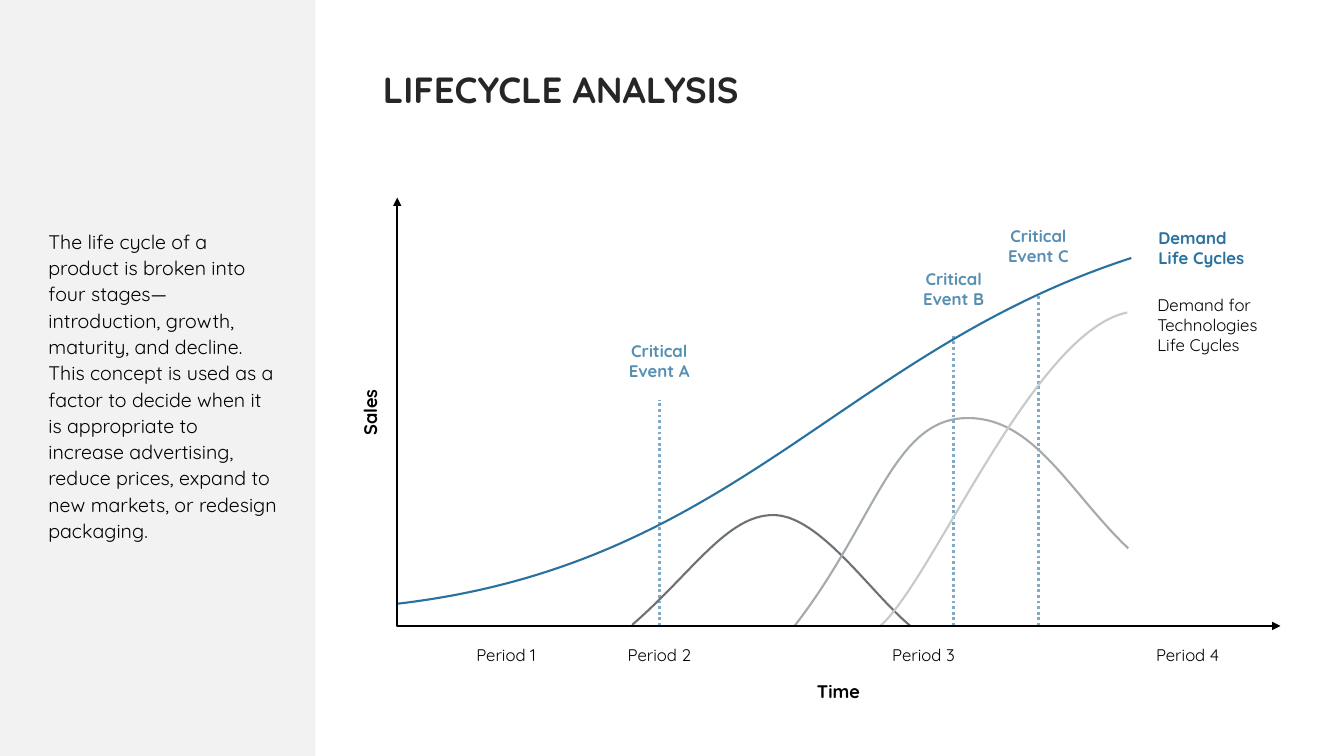
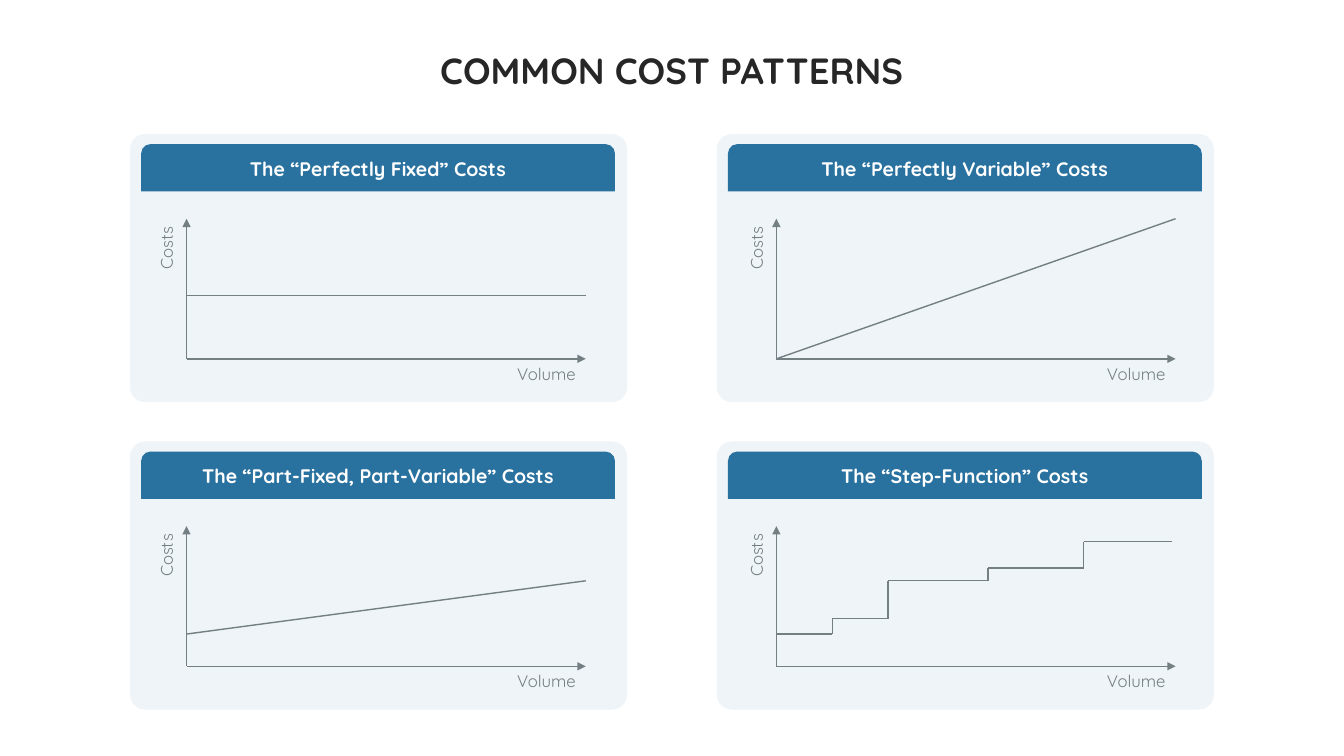
from lxml.etree import SubElement
from pptx import Presentation
from pptx.dml.color import RGBColor
from pptx.enum.dml import MSO_LINE
from pptx.enum.shapes import MSO_CONNECTOR, MSO_SHAPE
from pptx.enum.text import MSO_ANCHOR, MSO_AUTO_SIZE, PP_ALIGN
from pptx.oxml.ns import qn
from pptx.util import Inches, Pt

WIDTH, HEIGHT = 13.33, 7.5
FONT = "Quicksand"
BLACK, WHITE, INK = "000000", "FFFFFF", "262626"
BLUE, EVENT_BLUE, DOT_BLUE = "29719F", "578FB3", "81ABC6"
SIDEBAR, CARD, PLOT_GRAY = "F2F2F2", "C9DBE7", "747F83"
LEFT, CENTER, RIGHT = PP_ALIGN.LEFT, PP_ALIGN.CENTER, PP_ALIGN.RIGHT

SUMMARY = (
    "The life cycle of a product is broken into four stages—introduction, growth, "
    "maturity, and decline. This concept is used as a factor to decide when it is "
    "appropriate to increase advertising, reduce prices, expand to new markets, "
    "or redesign packaging."
)
AXIS_LEFT, AXIS_TOP, AXIS_RIGHT, AXIS_BASE = 3.94, 1.96, 12.7, 6.21
EVENTS = [
    ("Critical Event A", 6.54, 3.97, 3.33),
    ("Critical Event B", 9.46, 3.33, 2.62),
    ("Critical Event C", 10.3, 2.93, 2.19),
]
PERIODS = [("Period 1", 5.02), ("Period 2", 6.54), ("Period 3", 9.16), ("Period 4", 11.78)]
TECHNOLOGY_CURVES = [
    ("6C7275", [(6.27, 6.2), (6.86, 5.69), (7.21, 5.11), (7.67, 5.11),
                (8.13, 5.11), (8.64, 5.89), (9.03, 6.21)]),
    ("A4AAAD", [(7.88, 6.21), (8.66, 5.21), (8.85, 4.2), (9.54, 4.15),
                (10.24, 4.1), (10.6, 4.88), (11.19, 5.44)]),
    ("C6CACB", [(8.73, 6.21), (9.25, 5.76), (10.25, 3.29), (11.18, 3.1)]),
]
DEMAND_CURVE = [(3.94, 5.99), (7.29, 5.6), (8.35, 3.49), (11.22, 2.56)]

COST_PATTERNS = [
    ("The “Perfectly Fixed” Costs", [(0, 0.45), (1, 0.45)]),
    ("The “Perfectly Variable” Costs", [(0, 0), (1, 1)]),
    ("The “Part-Fixed, Part-Variable” Costs", [(0, 0.23), (1, 0.61)]),
    ("The “Step-Function” Costs", [
        (0, 0.23), (0.14, 0.23), (0.14, 0.34), (0.28, 0.34), (0.28, 0.61),
        (0.53, 0.61), (0.53, 0.7), (0.77, 0.7), (0.77, 0.89), (0.99, 0.89)]),
]
CARD_COLUMNS, PLOT_COLUMNS, CARD_ROWS = (1.29, 7.11), (1.85, 7.7), (1.33, 4.38)
CARD_WIDTH, CARD_HEIGHT, HEADER_HEIGHT = 4.93, 2.66, 0.47
PLOT_WIDTH, PLOT_HEIGHT = 3.96, 1.39


def color(value):
    return RGBColor.from_string(value)


def write(shape, text, size=12, ink=BLACK, bold=False, align=LEFT, anchor=MSO_ANCHOR.TOP,
          spacing=None, insets=(0.1, 0.05), wrap=True):
    frame = shape.text_frame
    frame.word_wrap = wrap
    frame.auto_size = MSO_AUTO_SIZE.NONE if wrap else MSO_AUTO_SIZE.SHAPE_TO_FIT_TEXT
    frame.vertical_anchor = anchor
    frame.margin_left = frame.margin_right = Inches(insets[0])
    frame.margin_top = frame.margin_bottom = Inches(insets[1])
    para = frame.paragraphs[0]
    para.alignment = align
    if spacing:
        para.line_spacing = spacing
    span = para.add_run()
    span.text = text
    span.font.name = FONT
    span.font.size = Pt(size)
    span.font.bold = bold
    span.font.color.rgb = color(ink)


def add_text(page, text, left, top, width, height, rotation=0, **style):
    box = page.shapes.add_textbox(Inches(left), Inches(top), Inches(width), Inches(height))
    box.rotation = rotation
    write(box, text, **style)


def add_title(page, text, left, top, width, align=LEFT):
    add_text(page, text, left, top, width, 0.58, size=26, ink=INK, bold=True,
             align=align, anchor=MSO_ANCHOR.MIDDLE, spacing=0.9)


def add_block(page, kind, left, top, width, height, fill, adjustments=(), opacity=None):
    shape = page.shapes.add_shape(kind, Inches(left), Inches(top), Inches(width), Inches(height))
    shape.shadow.inherit = False
    shape.fill.solid()
    shape.fill.fore_color.rgb = color(fill)
    shape.line.fill.background()
    for index, value in enumerate(adjustments):
        shape.adjustments[index] = value
    if opacity is not None:
        tint = shape.fill._xPr.find(".//" + qn("a:srgbClr"))
        SubElement(tint, qn("a:alpha"), val=str(opacity * 1000))
    return shape


def style_line(shape, ink, weight, dash=None, arrows=()):
    shape.line.color.rgb = color(ink)
    shape.line.width = Pt(weight)
    if dash:
        shape.line.dash_style = dash
    for end in arrows:
        SubElement(shape.line._get_or_add_ln(), qn("a:" + end), type="triangle")


def add_line(page, start, end, ink, weight, **style):
    line = page.shapes.add_connector(
        MSO_CONNECTOR.STRAIGHT, *[Inches(value) for value in (*start, *end)])
    SubElement(line._element.spPr, qn("a:effectLst"))
    effects = line._element.spPr[-1]
    style_line(line, ink, weight, **style)
    line._element.spPr.append(effects)


def add_outline(page, points, ink, curved=False, **style):
    (first, *others) = [(Inches(x), Inches(y)) for x, y in points]
    builder = page.shapes.build_freeform(*first, scale=1.0)
    builder.add_line_segments(others, close=False)
    shape = builder.convert_to_shape()
    shape.shadow.inherit = False
    shape.fill.background()
    style_line(shape, ink, 1.5, **style)
    if curved:
        outline = shape._element.find(".//" + qn("a:path"))
        segments = outline.findall(qn("a:lnTo"))
        for index in range(0, len(segments), 3):
            bezier = SubElement(outline, qn("a:cubicBezTo"))
            for segment in segments[index:index + 3]:
                bezier.append(segment[0])
                outline.remove(segment)


def build_lifecycle(page):
    add_block(page, MSO_SHAPE.RECTANGLE, 0, 0, 3.13, HEIGHT, SIDEBAR)
    add_text(page, SUMMARY, 0.32, 2.09, 2.59, 3.49, size=14, spacing=Pt(18.8),
             insets=(0.16, 0.16))
    add_title(page, "LIFECYCLE ANALYSIS", 3.7, 0.62, 4.43)
    for label, x, line_top, label_top in EVENTS:
        add_line(page, (x, AXIS_BASE), (x, line_top), DOT_BLUE, 2, dash=MSO_LINE.ROUND_DOT)
        add_text(page, label, x - 0.6, label_top, 1.2, 0.5, ink=EVENT_BLUE, bold=True,
                 align=CENTER)
    for ink, points in TECHNOLOGY_CURVES:
        add_outline(page, points, ink, curved=True)
    for label, x in PERIODS:
        add_text(page, label, x - 0.6, 6.35, 1.2, 0.3, align=CENTER)
    add_text(page, "Sales", 3.28, 3.94, 0.76, 0.3, rotation=270, size=13, bold=True,
             align=CENTER)
    add_text(page, "Time", 7.89, 6.7, 0.85, 0.3, size=13, bold=True, align=CENTER)
    add_text(page, "Demand for Technologies Life Cycles", 11.38, 2.87, 1.25, 0.7)
    add_text(page, "Demand Life Cycles", 11.39, 2.21, 1.16, 0.5, ink=BLUE, bold=True)
    add_outline(page, DEMAND_CURVE, BLUE, curved=True)
    axes = [(AXIS_LEFT, AXIS_TOP), (AXIS_LEFT, AXIS_BASE), (AXIS_RIGHT, AXIS_BASE)]
    add_outline(page, axes, BLACK, arrows=("headEnd", "tailEnd"))


def build_cost_card(page, heading, pattern, column, row):
    left, top = CARD_COLUMNS[column], CARD_ROWS[row]
    origin_x, base = PLOT_COLUMNS[column], top + 2.23
    add_block(page, MSO_SHAPE.ROUNDED_RECTANGLE, left, top, CARD_WIDTH, CARD_HEIGHT, CARD,
              adjustments=(0.056,), opacity=30)
    header = add_block(page, MSO_SHAPE.ROUND_2_SAME_RECTANGLE, left + 0.11, top + 0.1,
                       CARD_WIDTH - 0.23, HEADER_HEIGHT, BLUE, adjustments=(0.2, 0))
    write(header, heading, size=14, ink=WHITE, bold=True, align=CENTER,
          anchor=MSO_ANCHOR.MIDDLE, spacing=Pt(16), insets=(0.2, 0.05))
    origin = (origin_x, base)
    for tip in [(origin_x, base - PLOT_HEIGHT), (origin_x + PLOT_WIDTH, base)]:
        add_line(page, tip, origin, PLOT_GRAY, 1, arrows=("headEnd",))
    points = [(origin_x + x * PLOT_WIDTH, base - y * PLOT_HEIGHT) for x, y in pattern]
    for start, end in zip(points, points[1:]):
        add_line(page, start, end, PLOT_GRAY, 1)
    add_text(page, "Costs", origin_x - 0.49, top + 0.96, 0.64, 0.36, rotation=270,
             ink=PLOT_GRAY, align=RIGHT, wrap=False)
    add_text(page, "Volume", origin_x + PLOT_WIDTH - 1, base, 1, 0.3, ink=PLOT_GRAY,
             align=RIGHT)


def build_costs(page):
    add_title(page, "COMMON COST PATTERNS", (WIDTH - 5.17) / 2, 0.43, 5.17, align=CENTER)
    for index, (heading, pattern) in enumerate(COST_PATTERNS):
        row, column = divmod(index, 2)
        build_cost_card(page, heading, pattern, column, row)


def main():
    deck = Presentation()
    deck.slide_width, deck.slide_height = Inches(WIDTH), Inches(HEIGHT)
    for build in (build_lifecycle, build_costs):
        build(deck.slides.add_slide(deck.slide_layouts[6]))
    deck.save("out.pptx")


if __name__ == "__main__":
    main()
